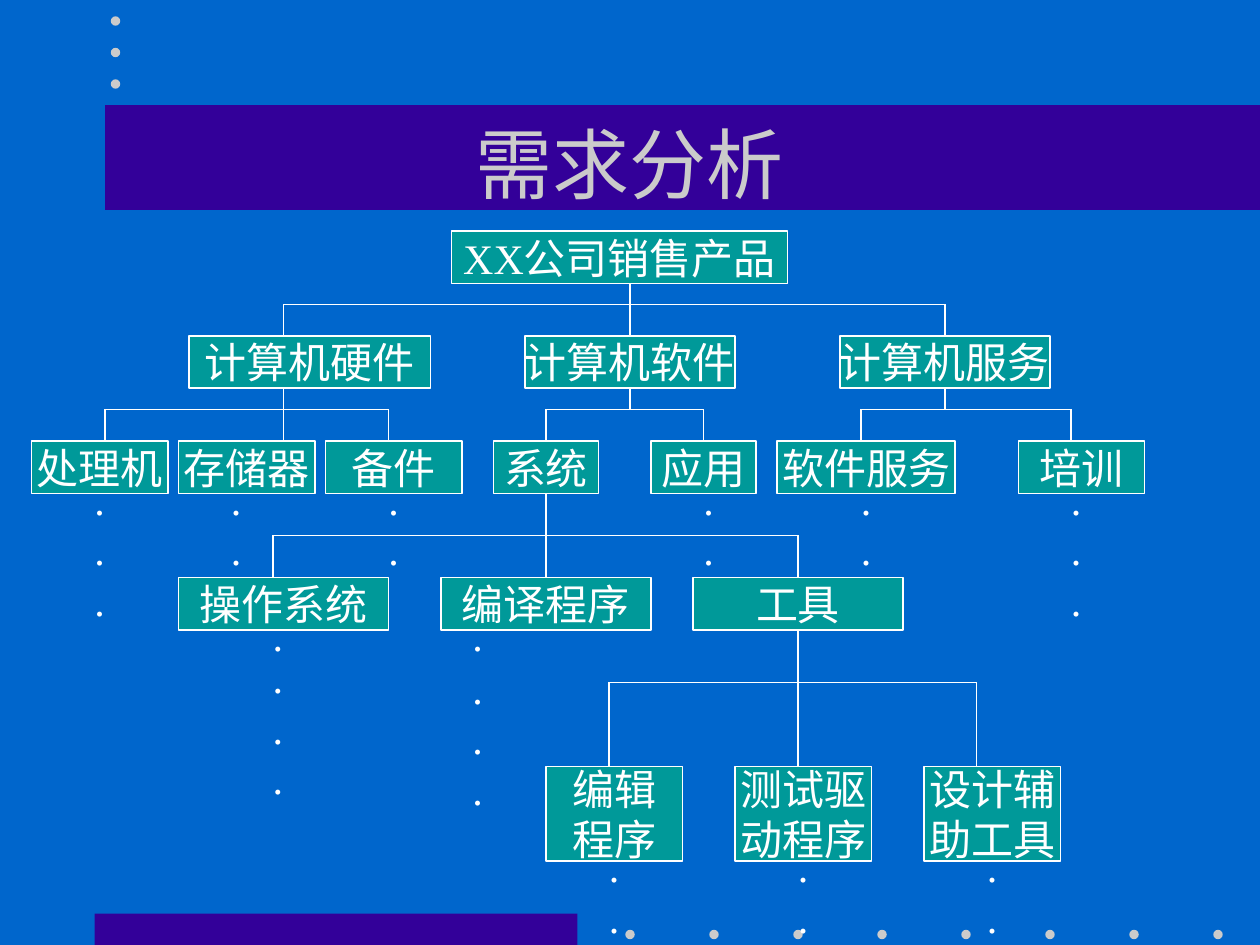
from dataclasses import dataclass

from lxml import etree
from pptx import Presentation
from pptx.dml.color import RGBColor
from pptx.enum.shapes import MSO_CONNECTOR, MSO_SHAPE
from pptx.enum.text import MSO_ANCHOR, MSO_AUTO_SIZE, PP_ALIGN
from pptx.oxml.ns import qn
from pptx.util import Cm, Pt

RECTANGLE, OVAL = MSO_SHAPE.RECTANGLE, MSO_SHAPE.OVAL
STRAIGHT = MSO_CONNECTOR.STRAIGHT
CENTER, LEFT = PP_ALIGN.CENTER, PP_ALIGN.LEFT
MIDDLE, TOP = MSO_ANCHOR.MIDDLE, MSO_ANCHOR.TOP
FIXED, GROW = MSO_AUTO_SIZE.NONE, MSO_AUTO_SIZE.SHAPE_TO_FIT_TEXT

FONT = "Times New Roman"
BLUE, PURPLE, TEAL = "0066CC", "330099", "009999"
GRAY, WHITE = "CBCBCB", "FFFFFF"
SLIDE_WIDTH, SLIDE_HEIGHT = 25.4, 19.05
COLUMNS = 120  # the slide is a grid of 120 by 90 square units


@dataclass(frozen=True)
class Box:
    text: str
    left: float
    top: float
    width: float
    height: float = 5


@dataclass(frozen=True)
class Branch:
    stem: float
    top: float
    bar: float
    bottom: float
    left: float
    right: float
    middle_child: bool = True


@dataclass(frozen=True)
class Dots:
    left: float
    top: float
    count: int


BOXES = [
    Box("XX公司销售产品", 43, 22, 32),
    Box("计算机硬件", 18, 32, 23),
    Box("计算机软件", 50, 32, 20),
    Box("计算机服务", 80, 32, 20),
    Box("处理机", 3, 42, 13),
    Box("存储器", 17, 42, 13),
    Box("备件", 31, 42, 13),
    Box("系统", 47, 42, 10),
    Box("应用", 62, 42, 10),
    Box("软件服务", 74, 42, 17),
    Box("培训", 97, 42, 12),
    Box("操作系统", 17, 55, 20),
    Box("编译程序", 42, 55, 20),
    Box("工具", 66, 55, 20),
    Box("编辑\n程序", 52, 73, 13, 9),
    Box("测试驱\n动程序", 70, 73, 13, 9),
    Box("设计辅\n助工具", 88, 73, 13, 9),
]
BRANCHES = [
    Branch(60, 27, 29, 32, 27, 90),
    Branch(27, 37, 39, 42, 10, 37),
    Branch(60, 37, 39, 42, 52, 67, False),
    Branch(90, 37, 39, 42, 82, 102, False),
    Branch(52, 47, 51, 55, 26, 76),
    Branch(76, 60, 65, 73, 58, 93),
]
DOTS = [
    Dots(7.8, 44.5, 3), Dots(20.8, 44.5, 2), Dots(35.8, 44.5, 2),
    Dots(65.8, 44.5, 2), Dots(80.8, 44.5, 2), Dots(100.8, 44.5, 3),
    Dots(24.8, 57.5, 1), Dots(24.8, 61.5, 3),
    Dots(43.8, 57.5, 1), Dots(43.8, 62.5, 3),
    Dots(56.8, 79.5, 2), Dots(74.8, 79.5, 2), Dots(92.8, 79.5, 2),
]


def color(value: str) -> RGBColor:
    return RGBColor.from_string(value)


def units(*values: float) -> list[Cm]:
    return [Cm(value * SLIDE_WIDTH / COLUMNS) for value in values]


def write(shape, text: str, size: float, text_color: str, alignment, anchor, auto_size) -> None:
    frame = shape.text_frame
    frame.text = text
    frame.word_wrap = shape.is_placeholder
    frame.vertical_anchor = anchor
    frame.auto_size = auto_size
    for paragraph in frame.paragraphs:
        paragraph.alignment = alignment
        paragraph.font.name = FONT
        paragraph.font.size = Pt(size)
        paragraph.font.color.rgb = color(text_color)


def add_plain_shape(slide, kind, fill: str, left: float, top: float, width: float, height: float):
    shape = slide.shapes.add_shape(kind, *units(left, top, width, height))
    shape.shadow.inherit = False
    shape.fill.solid()
    shape.fill.fore_color.rgb = color(fill)
    shape.line.fill.background()
    return shape


def add_box(slide, box: Box) -> None:
    shape = add_plain_shape(slide, RECTANGLE, TEAL, box.left, box.top, box.width, box.height)
    shape.line.color.rgb = color(WHITE)
    shape.line.width = Pt(1)
    write(shape, box.text, 24, WHITE, CENTER, MIDDLE, FIXED)


def add_line(slide, x1: float, y1: float, x2: float, y2: float) -> None:
    line = slide.shapes.add_connector(STRAIGHT, *units(x1, y1, x2, y2))
    line.line.color.rgb = color(WHITE)
    line.line.width = Pt(1)
    etree.SubElement(line._element.spPr, qn("a:effectLst"))


def add_branch(slide, branch: Branch) -> None:
    stem_end = branch.bottom if branch.middle_child else branch.bar
    add_line(slide, branch.left, branch.bottom, branch.left, branch.bar)
    add_line(slide, branch.left, branch.bar, branch.right, branch.bar)
    add_line(slide, branch.right, branch.bar, branch.right, branch.bottom)
    add_line(slide, branch.stem, branch.top, branch.stem, stem_end)


def add_dots(slide, dots: Dots) -> None:
    height = 1.2 + 4.8 * dots.count
    shape = slide.shapes.add_textbox(*units(dots.left, dots.top, 3.4, height))
    write(shape, "\n".join("." * dots.count), 24, WHITE, LEFT, TOP, GROW)


def add_decoration(slide) -> None:
    add_plain_shape(slide, RECTANGLE, PURPLE, 9, 87, 46, 3)
    add_plain_shape(slide, RECTANGLE, PURPLE, 10, 10, 110, 10)
    bottom_row = [(59.55 + 8 * index, 88.55) for index in range(8)]
    top_column = [(10.55, 1.55 + 3 * index) for index in range(3)]
    for left, top in bottom_row + top_column:
        add_plain_shape(slide, OVAL, GRAY, left, top, 0.9, 0.9)


def add_title(slide) -> None:
    title = slide.shapes.title
    title.left, title.top, title.width, title.height = units(9, 8, 102, 15)
    write(title, "需求分析", 44, GRAY, CENTER, MIDDLE, FIXED)
    slide.shapes._spTree.append(title._element)  # in front of the purple band


def main() -> None:
    presentation = Presentation()
    presentation.slide_width, presentation.slide_height = Cm(SLIDE_WIDTH), Cm(SLIDE_HEIGHT)
    slide = presentation.slides.add_slide(presentation.slide_layouts[5])
    slide.background.fill.solid()
    slide.background.fill.fore_color.rgb = color(BLUE)

    add_decoration(slide)
    add_title(slide)

    # Product tree
    for box in BOXES:
        add_box(slide, box)
    for branch in BRANCHES:
        add_branch(slide, branch)

    # Dots for the levels left out
    for dots in DOTS:
        add_dots(slide, dots)

    presentation.save("out.pptx")


if __name__ == "__main__":
    main()
